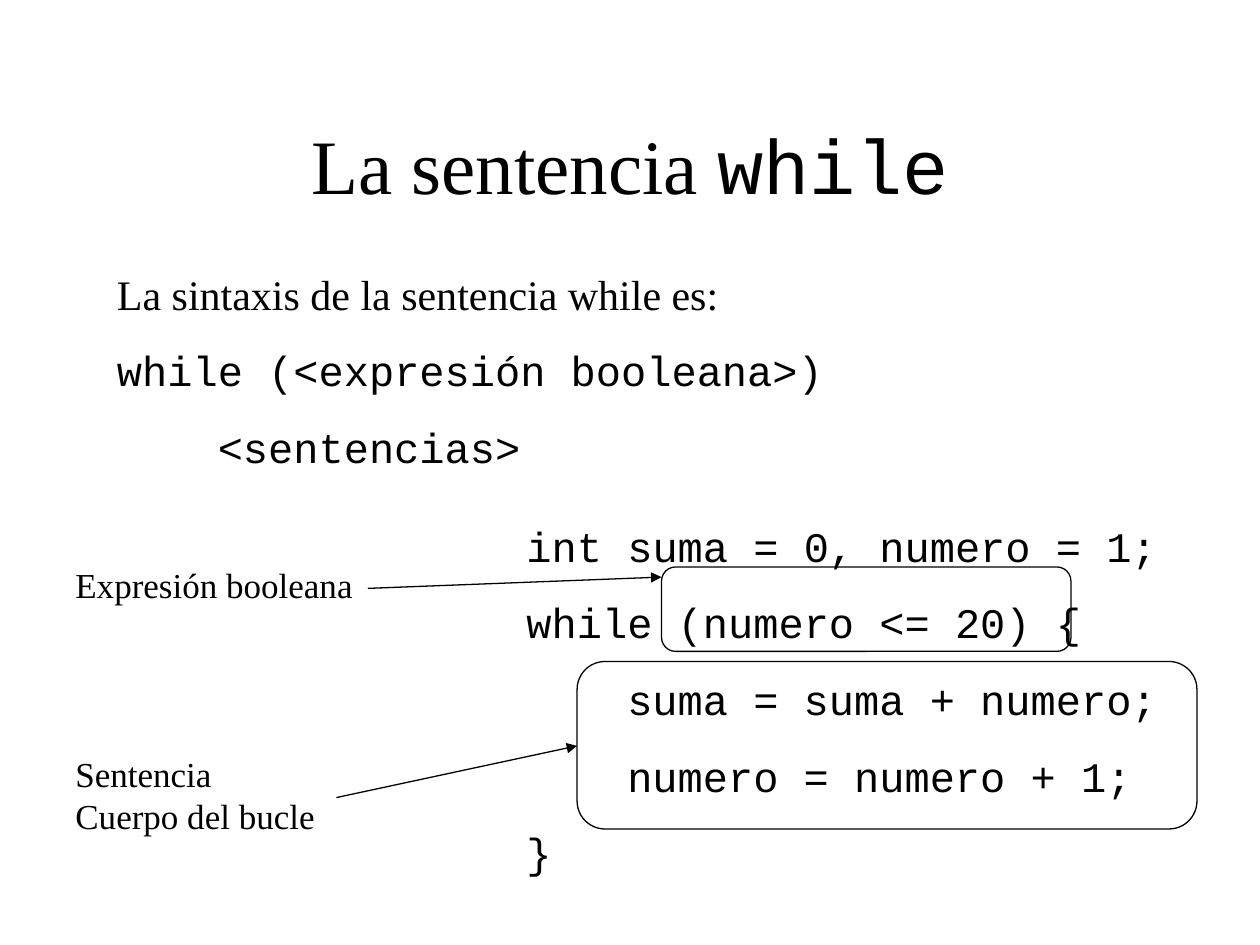
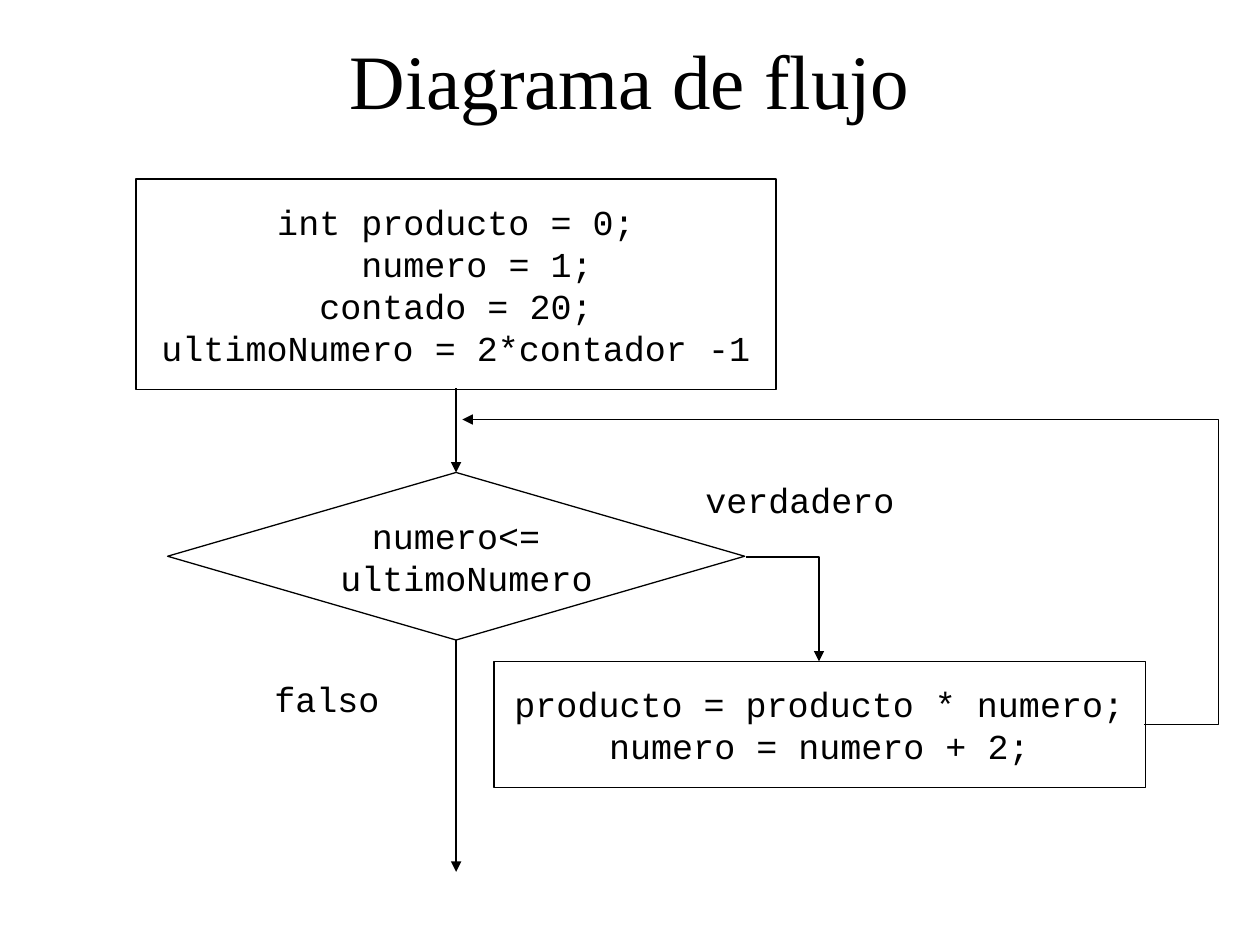
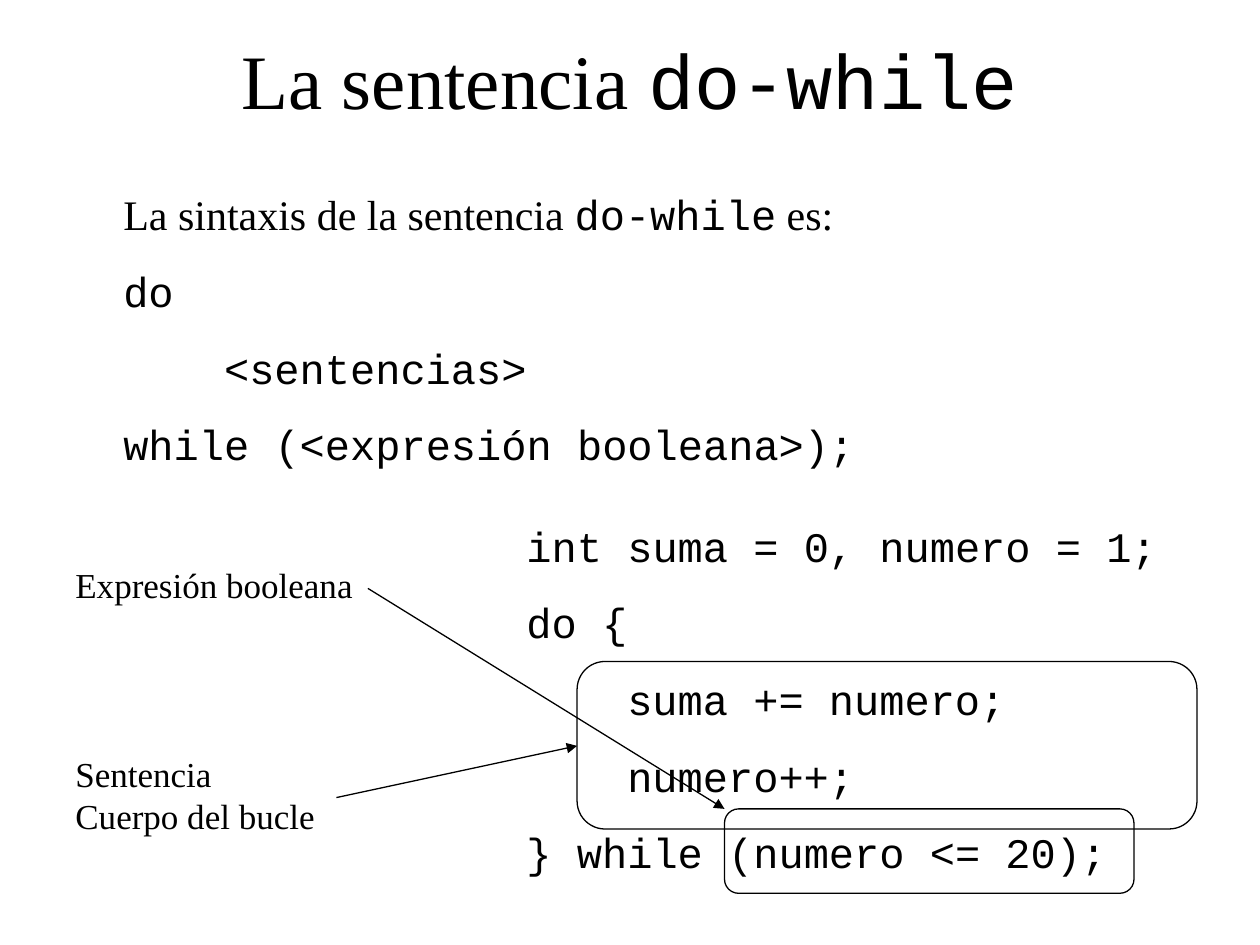
from dataclasses import dataclass

from lxml import etree
from pptx import Presentation, util as u
from pptx.dml.color import RGBColor
from pptx.enum import shapes, text
from pptx.oxml.ns import qn

PROSE = "Times New Roman"
CODE = "Courier New"
INK = "000000"
PAPER = "FFFFFF"
TITLE_SIZE, BODY_SIZE, LABEL_SIZE = 44, 24, 20
CODE_WIDTH = 0.6  # advance of one code character, in ems


@dataclass
class Line:
    """One paragraph: (words, font) runs, indented by a number of code characters."""
    runs: list
    indent: int = 0


def code(words, indent=0):
    return Line([(words, CODE)], indent)


def prose(words):
    return Line([(words, PROSE)])


def color(value):
    return RGBColor.from_string(value)


def inches(values):
    return [u.Inches(value) for value in values]


class Deck:
    """Holds the shared style and the slide being filled."""

    def __init__(self):
        self.presentation = Presentation()
        self.presentation.slide_width = u.Inches(10)
        self.presentation.slide_height = u.Inches(7.5)
        self.slide = None

    def new_slide(self, title, top=0):
        self.slide = self.presentation.slides.add_slide(self.presentation.slide_layouts[6])
        background = self.slide.background.fill
        background.solid()
        background.fore_color.rgb = color(PAPER)
        frame = self.slide.shapes.add_textbox(*inches((0.75, top, 8.5, 1.25))).text_frame
        frame.word_wrap = True
        frame.vertical_anchor = text.MSO_ANCHOR.MIDDLE
        self.add_lines(frame, [title], TITLE_SIZE, centered=True)

    def add_lines(self, frame, lines, size, space_before=0, centered=False):
        for number, line in enumerate(lines):
            paragraph = frame.paragraphs[0] if number == 0 else frame.add_paragraph()
            paragraph.alignment = text.PP_ALIGN.CENTER if centered else text.PP_ALIGN.LEFT
            paragraph.space_before = u.Pt(space_before)
            if line.indent:
                margin = u.Pt(line.indent * CODE_WIDTH * size)
                paragraph._p.get_or_add_pPr().set("marL", str(margin))
            for words, font in line.runs:
                for row, part in enumerate(words.split("\n")):
                    if row:
                        paragraph.add_line_break()
                    run = paragraph.add_run()
                    run.text = part
                    run.font.name = font
                    run.font.size = u.Pt(size)
                    run.font.color.rgb = color(INK)

    def text_box(self, place, lines, size):
        frame = self.slide.shapes.add_textbox(*inches(place)).text_frame
        frame.word_wrap = True
        frame.auto_size = text.MSO_AUTO_SIZE.SHAPE_TO_FIT_TEXT
        self.add_lines(frame, lines, size, space_before=size * 0.625)

    def outline(self, kind, place, lines=()):
        shape = self.slide.shapes.add_shape(kind, *inches(place))
        shape.shadow.inherit = False
        shape.fill.background()
        self.ink_line(shape)
        if lines:
            frame = shape.text_frame
            frame.word_wrap = False
            frame.vertical_anchor = text.MSO_ANCHOR.MIDDLE
            self.add_lines(frame, lines, LABEL_SIZE, centered=True)
        return shape

    def highlight(self, place):
        self.outline(shapes.MSO_SHAPE.ROUNDED_RECTANGLE, place).adjustments[0] = 0.167

    def ink_line(self, shape):
        shape.line.color.rgb = color(INK)
        shape.line.width = u.Pt(0.75)

    def arrow(self, start, end, kind=shapes.MSO_CONNECTOR.STRAIGHT):
        connector = self.slide.shapes.add_connector(kind, *inches((*start, *end)))
        self.ink_line(connector)
        properties = connector._element.spPr
        etree.SubElement(properties.find(qn("a:ln")), qn("a:tailEnd"), type="triangle")
        etree.SubElement(properties, qn("a:effectLst"))
        return connector

    def bent_arrow(self, start, end, preset, bend=None):
        """Elbow arrow; bend places the middle segment as a share of the width."""
        connector = self.arrow(start, end, shapes.MSO_CONNECTOR.ELBOW)
        geometry = connector._element.spPr.find(qn("a:prstGeom"))
        geometry.set("prst", preset)
        if bend is not None:
            guides = geometry.find(qn("a:avLst"))
            etree.SubElement(guides, qn("a:gd"), name="adj1", fmla=f"val {round(bend * 100000)}")

    def loop_example(self, program, condition, target):
        """Sample loop with its body and its condition framed and labelled."""
        self.text_box((4.08, 4.08, 5.42, 2.94), program, BODY_SIZE)
        self.highlight((4.58, 5.25, 4.92, 1.33))
        self.text_box((0.5, 5.92, 2.83, 0.77), [prose("Sentencia\nCuerpo del bucle")], LABEL_SIZE)
        self.arrow((2.67, 6.33), (4.58, 5.92))
        self.text_box((0.5, 4.42, 2.83, 0.44), [prose("Expresión booleana")], LABEL_SIZE)
        self.highlight((*condition, 3.25, 0.67))
        self.arrow((2.92, 4.67), target)


def while_slide(deck):
    deck.new_slide(Line([("La sentencia ", PROSE), ("while", CODE)]), top=0.67)
    deck.text_box((0.83, 2.08, 8.25, 1.72), [
        prose("La sintaxis de la sentencia while es:"),
        code("while (<expresión booleana>)"),
        code("<sentencias>", 4),
    ], BODY_SIZE)
    deck.loop_example([
        code("int suma = 0, numero = 1;"),
        code("while (numero <= 20) {"),
        code("suma = suma + numero;", 4),
        code("numero = numero + 1;", 4),
        code("}"),
    ], condition=(5.25, 4.5), target=(5.25, 4.58))


def flow_slide(deck):
    deck.new_slide(prose("Diagrama de flujo"))
    process = shapes.MSO_SHAPE.FLOWCHART_PROCESS
    deck.outline(shapes.MSO_SHAPE.FLOWCHART_DECISION, (1.33, 3.75, 4.58, 1.33),
                 [code("numero<="), code("ultimoNumero", 1)])
    deck.outline(process, (3.92, 5.25, 5.17, 1),
                 [code("producto = producto * numero;"), code("numero = numero + 2;")])
    deck.outline(process, (1.08, 1.42, 5.08, 1.67), [
        code("int producto = 0;"),
        code("numero = 1;", 2),
        code("contado = 20;"),
        code("ultimoNumero = 2*contador -1"),
    ])
    axis = 3.62
    deck.arrow((axis, 3.08), (axis, 3.75))
    deck.bent_arrow((5.92, 4.42), (6.5, 5.25), "bentConnector2")
    deck.bent_arrow((9.08, 5.75), (3.67, 3.33), "bentConnector3", bend=-0.109)
    deck.arrow((axis, 5.08), (axis, 6.92))
    deck.text_box((5.5, 3.75, 2, 0.44), [code("verdadero")], LABEL_SIZE)
    deck.text_box((2.08, 5.33, 2, 0.44), [code("falso")], LABEL_SIZE)


def do_while_slide(deck):
    deck.new_slide(Line([("La sentencia ", PROSE), ("do-while", CODE)]))
    deck.text_box((0.88, 1.45, 8.25, 2.33), [
        Line([("La sintaxis de la sentencia ", PROSE), ("do-while", CODE), (" es:", PROSE)]),
        code("do"),
        code("<sentencias>", 4),
        code("while (<expresión booleana>);"),
    ], BODY_SIZE)
    deck.loop_example([
        code("int suma = 0, numero = 1;"),
        code("do {"),
        code("suma += numero;", 4),
        code("numero++;", 4),
        code("} while (numero <= 20);"),
    ], condition=(5.75, 6.42), target=(5.75, 6.42))


def main():
    deck = Deck()
    while_slide(deck)
    flow_slide(deck)
    do_while_slide(deck)
    deck.presentation.save("out.pptx")


if __name__ == "__main__":
    main()
